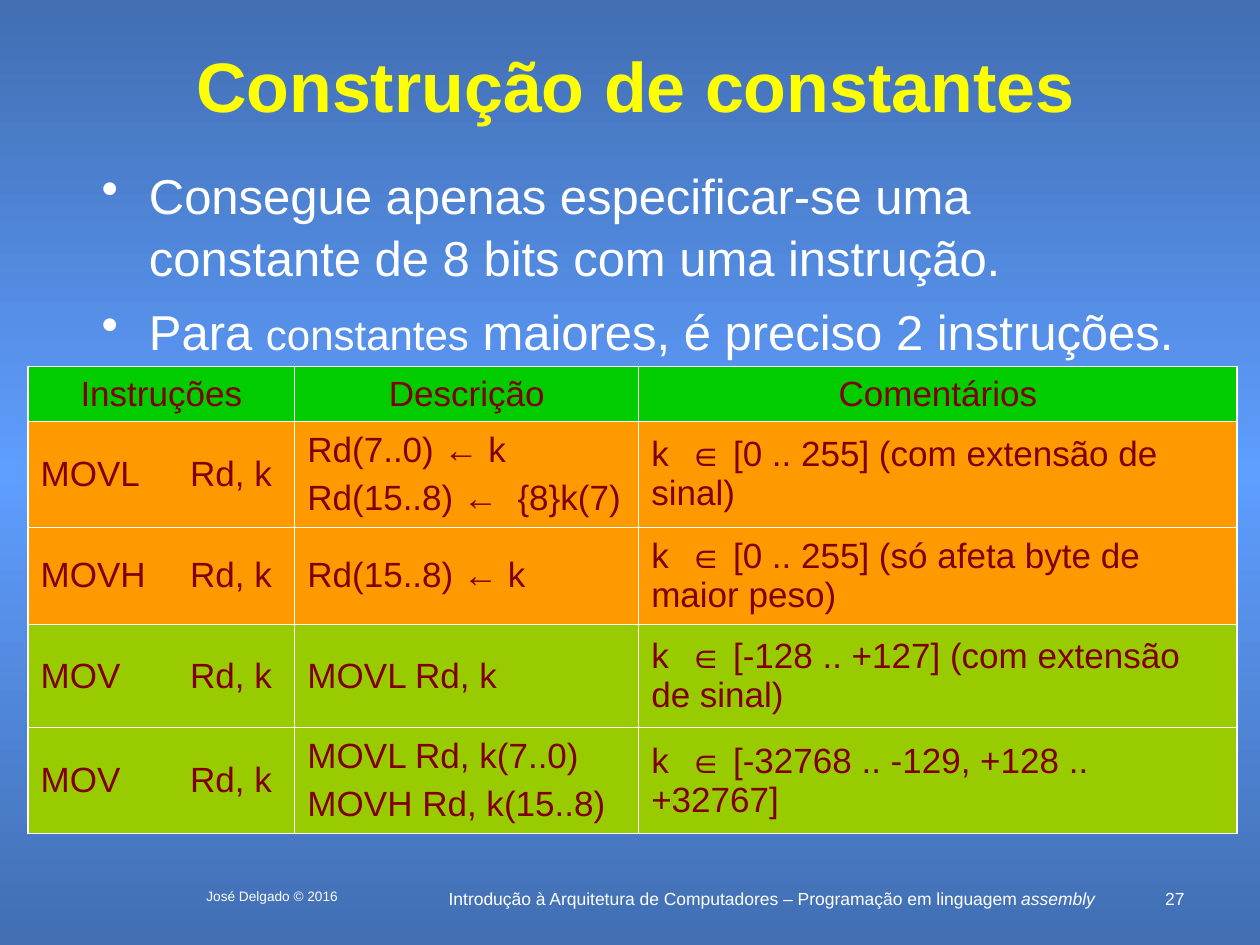
from copy import deepcopy

from lxml import etree
from pptx import Presentation
from pptx.dml.color import RGBColor
from pptx.enum.text import MSO_ANCHOR, PP_ALIGN
from pptx.oxml.ns import qn
from pptx.util import Pt

LEFT, CENTER, RIGHT = PP_ALIGN.LEFT, PP_ALIGN.CENTER, PP_ALIGN.RIGHT
TOP, MIDDLE = MSO_ANCHOR.TOP, MSO_ANCHOR.MIDDLE

FONT = "Arial"
WHITE, YELLOW, MAROON = "FFFFFF", "FFFF00", "800000"
GREEN, ORANGE, LIME = "00CC00", "FF9900", "99CC00"
GRADIENT = [(0, "426EB2"), (0.5, "5E9EFF"), (1, "426EB2")]
OUTER_LINE, INNER_LINE = 1.08, 0.45

COLUMN_WIDTHS = [85.5, 67, 196.5, 342]
ROW_HEIGHTS = [31, 60.5, 55.5, 59, 60.5]
ROWS = [
    (GREEN, ["Instruções", "", "Descrição", "Comentários"]),
    (ORANGE, ["MOVL", "Rd, k", "Rd(7..0) ← k\nRd(15..8) ←  {8}k(7)",
              "k  ∈ [0 .. 255] (com extensão de sinal)"]),
    (ORANGE, ["MOVH", "Rd, k", "Rd(15..8) ← k",
              "k  ∈ [0 .. 255] (só afeta byte de maior peso)"]),
    (LIME, ["MOV", "Rd, k", "MOVL Rd, k",
            "k  ∈ [-128 .. +127] (com extensão de sinal)"]),
    (LIME, ["MOV", "Rd, k", "MOVL Rd, k(7..0)\nMOVH Rd, k(15..8)",
            "k  ∈ [-32768 .. -129, +128 .. +32767]"]),
]
BULLETS = [
    [("Consegue apenas especificar-se uma constante de 8 bits com uma instrução.", 28)],
    [("Para ", 28), ("constantes", 24), (" maiores, é preciso 2 instruções.", 28)],
]


def color(value):
    return RGBColor.from_string(value)


def style_font(font, size, value):
    font.name = FONT
    font.size = Pt(size)
    font.color.rgb = color(value)


def add_span(para, text, size, value=WHITE):
    span = para.add_run()
    span.text = text
    style_font(span.font, size, value)
    return span


def set_background(slide):
    fill = slide.background.fill
    fill.gradient()
    fill.gradient_angle = 90
    stops = slide.element.find(".//" + qn("a:gsLst"))
    stops.append(deepcopy(stops[0]))
    for stop, (position, value) in zip(fill.gradient_stops, GRADIENT):
        stop.position = position
        stop.color.rgb = color(value)


def add_box(slide, left, top, width, height, align=LEFT, anchor=TOP):
    """Add an empty text box and return its text frame."""
    box = slide.shapes.add_textbox(Pt(left), Pt(top), Pt(width), Pt(height))
    frame = box.text_frame
    frame.word_wrap = True
    frame.vertical_anchor = anchor
    frame.paragraphs[0].alignment = align
    return frame


def add_bullet(para):
    properties = para._p.get_or_add_pPr()
    properties.set("marL", str(Pt(27)))
    properties.set("indent", str(Pt(-27)))
    bullet_color = etree.SubElement(properties, qn("a:buClr"))
    etree.SubElement(bullet_color, qn("a:srgbClr"), val=WHITE)
    etree.SubElement(properties, qn("a:buChar"), char="•")


def add_bullet_list(slide):
    frame = add_box(slide, 51, 89.5, 638, 118)
    for index, spans in enumerate(BULLETS):
        para = frame.add_paragraph() if index else frame.paragraphs[0]
        add_bullet(para)
        para.line_spacing = 1.05
        if index:
            para.space_before = Pt(7)
        for text, size in spans:
            add_span(para, text, size)


def set_borders(cell, row, column):
    """Heavy frame, thin inner lines, none between mnemonic and operands."""
    last_row, last_column = len(ROWS) - 1, len(COLUMN_WIDTHS) - 1
    widths = {
        "a:lnL": OUTER_LINE if column == 0 else 0 if column == 1 else INNER_LINE,
        "a:lnR": OUTER_LINE if column == last_column else 0 if column == 0 else INNER_LINE,
        "a:lnT": OUTER_LINE if row == 0 else INNER_LINE,
        "a:lnB": OUTER_LINE if row == last_row else INNER_LINE,
    }
    properties = cell._tc.get_or_add_tcPr()
    for position, (tag, width) in enumerate(widths.items()):
        line = etree.Element(qn(tag), w=str(Pt(width)))
        if width:
            fill = etree.SubElement(line, qn("a:solidFill"))
            etree.SubElement(fill, qn("a:srgbClr"), val=WHITE)
        else:
            etree.SubElement(line, qn("a:noFill"))
        properties.insert(position, line)


def fill_cell(cell, text, fill, align):
    cell.fill.solid()
    cell.fill.fore_color.rgb = color(fill)
    cell.vertical_anchor = MIDDLE
    cell.text_frame.text = text
    for index, para in enumerate(cell.text_frame.paragraphs):
        para.alignment = align
        if index:
            para.space_before = Pt(5)
        style_font(para.font, 20, MAROON)
        for span in para.runs:
            style_font(span.font, 20, MAROON)


def add_instruction_table(slide):
    table = slide.shapes.add_table(
        len(ROWS), len(COLUMN_WIDTHS), Pt(16), Pt(209.5),
        Pt(sum(COLUMN_WIDTHS)), Pt(sum(ROW_HEIGHTS))).table
    table.horz_banding = False
    for column, width in zip(table.columns, COLUMN_WIDTHS):
        column.width = Pt(width)
    for row, height in zip(table.rows, ROW_HEIGHTS):
        row.height = Pt(height)
    for row, (fill, texts) in enumerate(ROWS):
        for column, text in enumerate(texts):
            cell = table.cell(row, column)
            fill_cell(cell, text, fill, LEFT if row else CENTER)
            set_borders(cell, row, column)
    table.cell(0, 0).merge(table.cell(0, 1))


def add_footer(slide):
    course = add_box(slide, 248.5, 504, 385, 18, CENTER).paragraphs[0]
    add_span(course, "Introdução à Arquitetura de Computadores – "
                     "Programação em linguagem ", 10)
    add_span(course, "assembly", 10).font.italic = True
    number = add_box(slide, 654, 504, 30, 12, RIGHT).paragraphs[0]
    add_span(number, "27", 10)
    author = add_box(slide, 95.5, 504, 120, 18, CENTER).paragraphs[0]
    add_span(author, "José Delgado © 2016", 7.8)


def main():
    deck = Presentation()
    deck.slide_width, deck.slide_height = Pt(720), Pt(540)
    slide = deck.slides.add_slide(deck.slide_layouts[6])
    set_background(slide)
    add_footer(slide)
    title = add_box(slide, 54, 24, 618, 48, CENTER, MIDDLE).paragraphs[0]
    add_span(title, "Construção de constantes", 40, YELLOW).font.bold = True
    add_instruction_table(slide)
    add_bullet_list(slide)
    deck.save("out.pptx")


if __name__ == "__main__":
    main()
